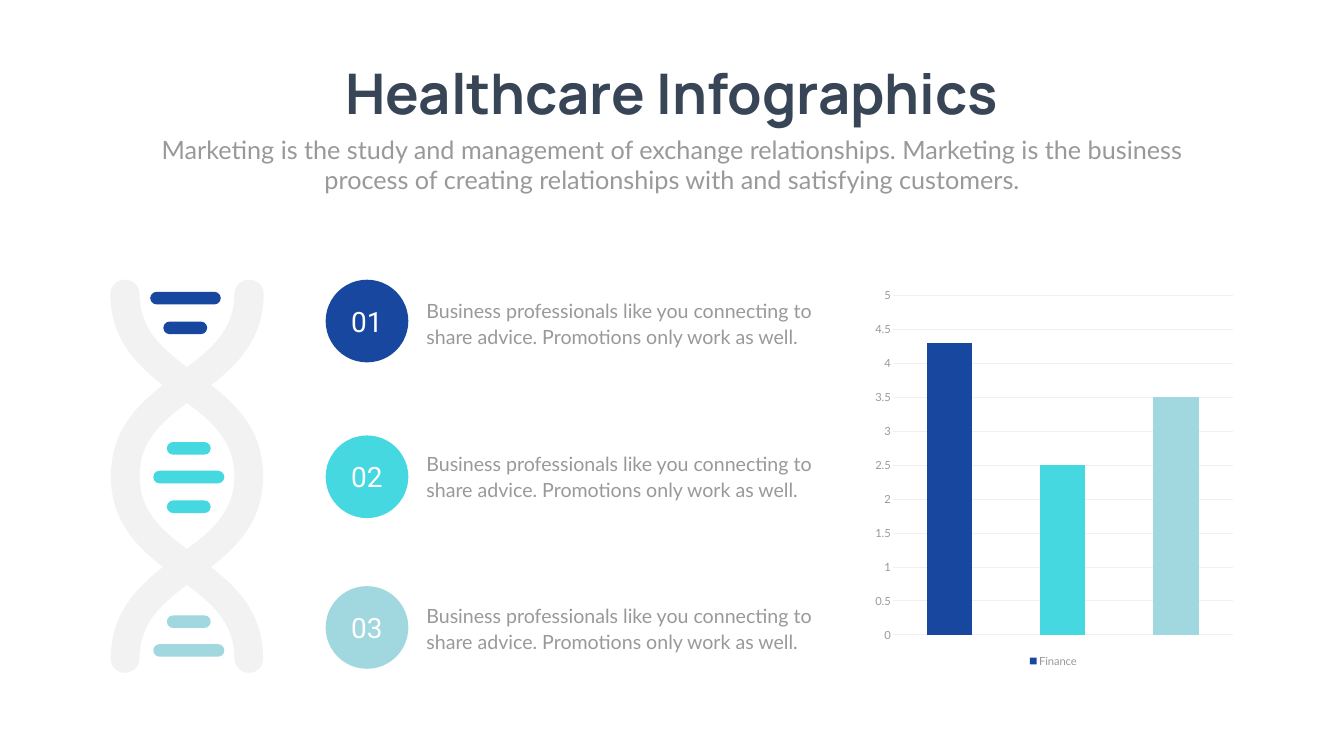
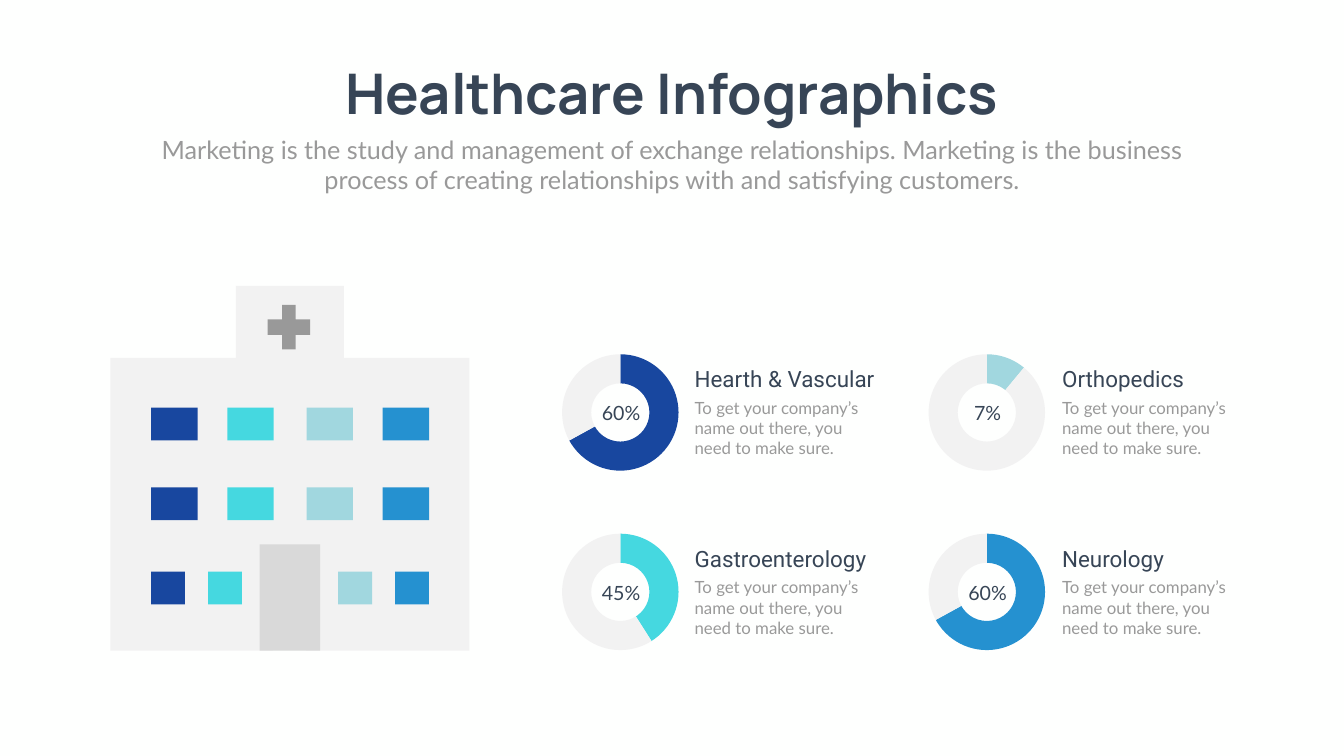
from lxml import etree
from pptx import Presentation
from pptx.chart.data import CategoryChartData
from pptx.dml.color import RGBColor
from pptx.enum import chart as charts, shapes, text
from pptx.oxml import ns
from pptx.util import Inches, Pt

BLUE, CYAN, PALE, AZURE = "18479F", "45D8E0", "A1D7DF", "2591D0"
INK, GRAY, LIGHT, DOOR = "374556", "999999", "F2F2F2", "D9D9D9"
WHITE, PAGE, GRID = "FFFFFF", "FEFFFE", "F0F0F0"

TITLE = "Healthcare Infographics"
SUBTITLE = ("Marketing is the study and management of exchange relationships. "
            "Marketing is the business process of creating relationships with "
            "and satisfying customers.")

# Slide 1
ADVICE = ("Business professionals like you connecting to share advice. "
          "Promotions only work as well.")
STEPS = [("01", BLUE, 5.55, 5.84), ("02", CYAN, 8.64, 8.88), ("03", PALE, 11.63, 11.89)]
FINANCE = [("1", 4.3, BLUE), ("2", 2.5, CYAN), ("3", 3.5, PALE)]
RUNGS = [  # left, top, width, colour
    (2.98, 5.79, 1.4, BLUE), (3.24, 6.38, 0.87, BLUE),
    (3.31, 8.77, 0.87, CYAN), (3.04, 9.34, 1.41, CYAN), (3.31, 9.93, 0.87, CYAN),
    (3.31, 12.21, 0.87, PALE), (3.04, 12.78, 1.41, PALE)]
HELIX_AXIS = 3.71
STRAND = [  # start, then two controls and an end for each curve
    (4.94, 13.35),
    (4.78, 13.35), (4.65, 13.22), (4.65, 13.06),
    (4.65, 12.3), (4.14, 11.92), (3.54, 11.48),
    (2.91, 11.02), (2.2, 10.49), (2.2, 9.45),
    (2.2, 8.4), (2.91, 7.87), (3.54, 7.41),
    (4.14, 6.97), (4.65, 6.59), (4.65, 5.83),
    (4.65, 5.68), (4.78, 5.55), (4.94, 5.55),
    (5.1, 5.55), (5.23, 5.68), (5.23, 5.83),
    (5.23, 6.88), (4.51, 7.41), (3.88, 7.87),
    (3.28, 8.31), (2.77, 8.69), (2.77, 9.45),
    (2.77, 10.2), (3.28, 10.58), (3.88, 11.02),
    (4.51, 11.49), (5.22, 12.01), (5.22, 13.06),
    (5.23, 13.22), (5.1, 13.35), (4.94, 13.35)]

# Slide 2
COMPANY = "To get your company’s name out there, you need to make sure."
DEPARTMENTS = [  # name, label, share drawn, colour, column, row
    ("Hearth & Vascular", "60%", 67, BLUE, 0, 0), ("Orthopedics", "7%", 11, PALE, 1, 0),
    ("Gastroenterology", "45%", 41, CYAN, 0, 1), ("Neurology", "60%", 67, AZURE, 1, 1)]
RING_LEFTS, NAME_LEFTS, NAME_WIDTHS = (10.93, 18.2), (13.68, 20.97), (4.99, 3.75)
RING_TOP, ROW_STEP = 6.9, 3.56
WALLS = [(9.31, 7.1), (6.82, 7.1), (6.82, 5.67), (4.68, 5.67), (4.68, 7.1), (2.19, 7.1),
         (2.19, 12.91), (5.41, 12.91), (5.41, 10.89), (6.07, 10.89), (6.07, 12.91),
         (9.31, 12.91)]
WINDOW_COLORS = (BLUE, CYAN, PALE, AZURE)
FLOORS = [  # top, window width, window lefts
    (8.09, 0.92, (3, 4.51, 6.08, 7.59)), (9.67, 0.92, (3, 4.51, 6.08, 7.59)),
    (11.34, 0.67, (3, 4.13, 6.71, 7.84))]


def rgb(color):
    return RGBColor.from_string(color)


def paint(shape, color):
    shape.shadow.inherit = False
    shape.fill.solid()
    shape.fill.fore_color.rgb = rgb(color)
    shape.line.fill.background()
    return shape


def set_font(font, size, color, face="Lato", bold=False):
    values = {"size": Pt(size), "name": face, "bold": bold}
    for key, value in values.items():
        setattr(font, key, value)
    font.color.rgb = rgb(color)


def write(frame, words, size, color, face="Lato", bold=False, center=False, spacing=None):
    paragraph = frame.paragraphs[0]
    paragraph.alignment = text.PP_ALIGN.CENTER if center else text.PP_ALIGN.LEFT
    if spacing:
        paragraph.line_spacing = Pt(spacing)
    run = paragraph.add_run()
    run.text = words
    set_font(run.font, size, color, face, bold)


def add_text(slide, box, *args, wrap=True, **style):
    frame = slide.shapes.add_textbox(*map(Inches, box)).text_frame
    frame.word_wrap = wrap
    frame.auto_size = text.MSO_AUTO_SIZE.SHAPE_TO_FIT_TEXT
    write(frame, *args, **style)


def add_preset(slide, kind, box, color):
    return paint(slide.shapes.add_shape(kind, *map(Inches, box)), color)


def add_outline(slide, points, color):
    corners = [(Inches(x), Inches(y)) for x, y in points]
    builder = slide.shapes.build_freeform(*corners[0])
    builder.add_line_segments(corners[1:], close=True)
    return paint(builder.convert_to_shape(), color)


def bend(outline):
    """Turn every three straight segments into one cubic curve."""
    segments = outline.element.xpath(".//a:lnTo")
    for i in range(0, len(segments) - 2, 3):
        curve = etree.Element(ns.qn("a:cubicBezTo"))
        segments[i].addprevious(curve)
        for segment in segments[i:i + 3]:
            curve.append(segment[0])
            segment.getparent().remove(segment)


def place_plot(chart, **place):
    """Fix the inner plot area, in fractions of the chart."""
    area = chart.element.xpath("c:chart/c:plotArea")[0]
    for old in area.findall(ns.qn("c:layout")):
        area.remove(old)
    layout = etree.Element(ns.qn("c:layout"))
    manual = etree.SubElement(layout, ns.qn("c:manualLayout"))
    values = {"layoutTarget": "inner", "xMode": "edge", "yMode": "edge", **place}
    for tag, value in values.items():
        etree.SubElement(manual, ns.qn(f"c:{tag}")).set("val", str(value))
    area.insert(0, layout)


def add_chart(slide, kind, box, name, rows, size, face):
    """Add a one-series chart from (category, value, colour) rows."""
    data = CategoryChartData()
    data.categories = [row[0] for row in rows]
    data.add_series(name, [row[1] for row in rows])
    chart = slide.shapes.add_chart(kind, *map(Inches, box), data).chart
    chart.has_title = chart.has_legend = False
    set_font(chart.font, size, GRAY, face)
    plot = chart.plots[0]
    plot.vary_by_categories = False
    for i, row in enumerate(rows):
        look = plot.series[0].points[i].format
        look.fill.solid()
        look.fill.fore_color.rgb = rgb(row[2])
        look.line.fill.background()
    return chart


def add_page(deck):
    slide = deck.slides.add_slide(deck.slide_layouts[6])
    slide.background.fill.solid()
    slide.background.fill.fore_color.rgb = rgb(PAGE)
    add_text(slide, (6.2, 1.12, 14.26, 1.45), TITLE, 80, INK, "Manrope",
             bold=True, center=True, wrap=False)
    add_text(slide, (2.92, 2.61, 20.82, 1.31), SUBTITLE, 36, GRAY, center=True)
    return slide


def add_finance_chart(slide):
    chart = add_chart(slide, charts.XL_CHART_TYPE.COLUMN_STACKED, (17.19, 5.55, 7.41, 7.74),
                      "Finance", FINANCE, 16, "Lato")
    place_plot(chart, x=0.07, y=0.04, w=0.91, h=0.87)
    plot = chart.plots[0]
    plot.gap_width, plot.overlap = 150, 100
    fill = plot.series[0].format.fill
    fill.solid()
    fill.fore_color.rgb = rgb(BLUE)
    chart.category_axis.visible = False
    axis = chart.value_axis
    scale = {"minimum_scale": 0, "maximum_scale": 5, "major_unit": 0.5,
             "major_tick_mark": charts.XL_TICK_MARK.NONE}
    for key, value in scale.items():
        setattr(axis, key, value)
    axis.format.line.fill.background()
    grid = axis.major_gridlines.format.line
    grid.color.rgb = rgb(GRID)
    grid.width = Pt(0.75)
    set_font(axis.tick_labels.font, 16, GRAY)
    chart.has_legend = True
    chart.legend.position = charts.XL_LEGEND_POSITION.BOTTOM
    chart.legend.include_in_layout = False
    set_font(chart.legend.font, 16, GRAY)


def add_helix(slide):
    mirrored = [(2 * HELIX_AXIS - x, y) for x, y in STRAND]
    for strand in (STRAND, mirrored):
        bend(add_outline(slide, strand, LIGHT))
    for left, top, width, color in RUNGS:
        rung = add_preset(slide, shapes.MSO_SHAPE.ROUNDED_RECTANGLE,
                          (left, top, width, 0.25), color)
        rung.adjustments[0] = 0.5


def add_steps(slide):
    for number, color, top, words_top in STEPS:
        add_text(slide, (8.36, words_top, 7.9, 1.13), ADVICE, 28, GRAY, spacing=36.6)
        disc = add_preset(slide, shapes.MSO_SHAPE.OVAL, (6.46, top, 1.64, 1.64), color)
        disc.text_frame.vertical_anchor = text.MSO_ANCHOR.MIDDLE
        write(disc.text_frame, number, 40, WHITE, "Roboto", center=True)


def add_departments(slide):
    for name, label, share, color, column, row in DEPARTMENTS:
        left, top = RING_LEFTS[column], RING_TOP + row * ROW_STEP
        name_left = NAME_LEFTS[column]
        ring = add_chart(slide, charts.XL_CHART_TYPE.DOUGHNUT, (left, top, 2.75, 2.57),
                         "Series 1", [("1", share, color), ("2", 100 - share, LIGHT)],
                         10, "Calibri")
        place_plot(ring, x=0.08, y=0.05, w=0.84, h=0.9)
        ring.element.xpath(".//c:holeSize")[0].set("val", "75")
        add_text(slide, (left + 0.62, top + 1.01, 1.54, 0.57), label, 28, INK, center=True)
        add_text(slide, (name_left, top + 0.3, NAME_WIDTHS[column], 0.64),
                 name, 32, INK, "Roboto")
        add_text(slide, (name_left, top + 0.94, 3.57, 1.31), COMPANY, 24, GRAY)


def add_hospital(slide):
    add_outline(slide, WALLS, LIGHT)
    add_preset(slide, shapes.MSO_SHAPE.RECTANGLE, (5.15, 10.8, 1.2, 2.11), DOOR)
    for top, width, lefts in FLOORS:
        for left, color in zip(lefts, WINDOW_COLORS):
            add_preset(slide, shapes.MSO_SHAPE.RECTANGLE, (left, top, width, 0.65), color)
    cross = add_preset(slide, shapes.MSO_SHAPE.CROSS, (5.31, 6.05, 0.84, 0.88), GRAY)
    cross.adjustments[0] = 0.34


def main():
    deck = Presentation()
    deck.slide_width, deck.slide_height = Inches(26.66), Inches(15)
    finance = add_page(deck)
    add_finance_chart(finance)
    add_helix(finance)
    add_steps(finance)
    care = add_page(deck)
    add_departments(care)
    add_hospital(care)
    deck.save("out.pptx")


if __name__ == "__main__":
    main()
